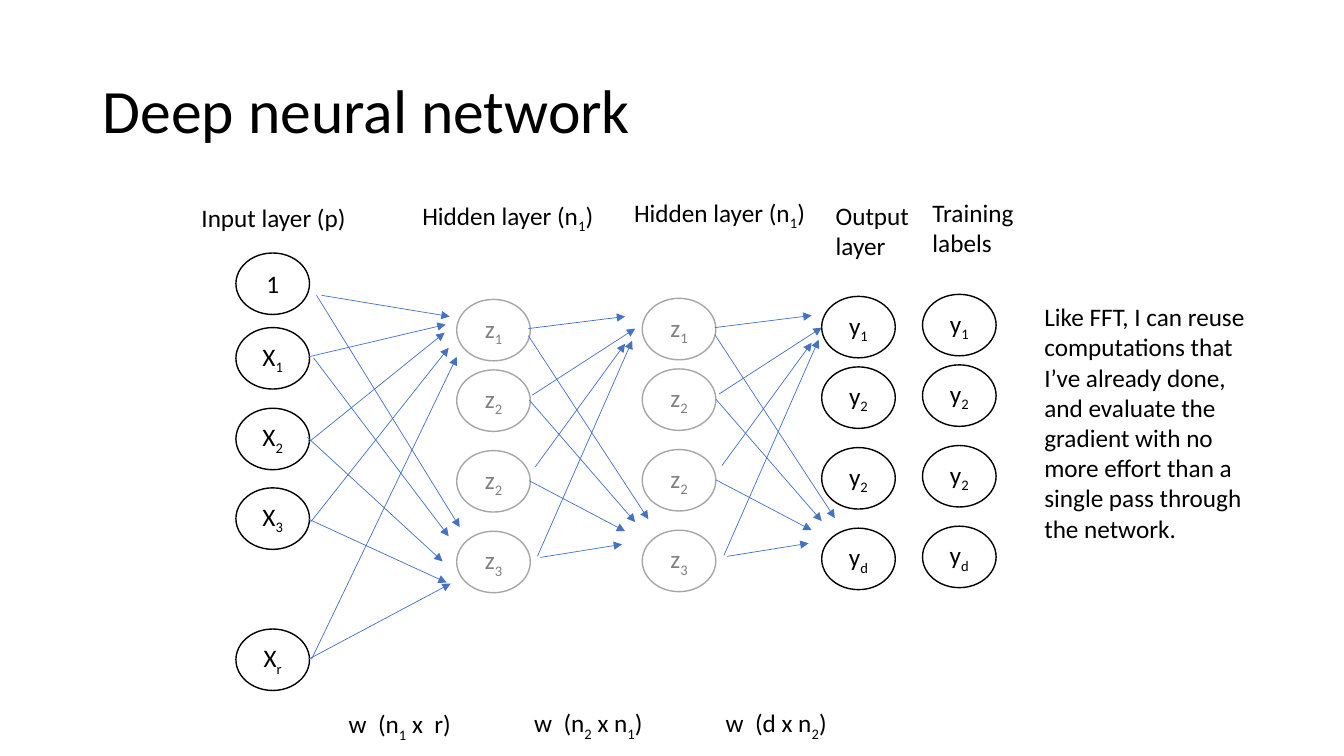
from lxml import etree
from pptx import Presentation
from pptx.dml.color import RGBColor
from pptx.enum.shapes import MSO_CONNECTOR, MSO_SHAPE
from pptx.enum.text import MSO_ANCHOR, MSO_AUTO_SIZE, PP_ALIGN
from pptx.oxml.ns import qn
from pptx.util import Inches, Pt

BLACK = RGBColor(0x00, 0x00, 0x00)
GREY_TEXT = RGBColor(0x80, 0x80, 0x80)
GREY_LINE = RGBColor(0xA6, 0xA6, 0xA6)
BLUE = RGBColor(0x44, 0x72, 0xC4)
FONT = "Calibri"
OVAL = MSO_SHAPE.OVAL
STRAIGHT = MSO_CONNECTOR.STRAIGHT
MIDDLE, TOP = MSO_ANCHOR.MIDDLE, MSO_ANCHOR.TOP
LEFT, CENTER = PP_ALIGN.LEFT, PP_ALIGN.CENTER
GROW, FIXED = MSO_AUTO_SIZE.SHAPE_TO_FIT_TEXT, MSO_AUTO_SIZE.NONE

NODE_WIDTH, NODE_HEIGHT = 0.73, 0.61
INPUT_ROWS = (0, 0.74, 1.54, 2.33, 3.73)
LAYER_ROWS = (0, 0.7, 1.5, 2.3)

# left, top, row offsets, node names, text colour, outline colour
LAYERS = [
    (2.34, 2.51, INPUT_ROWS, ("1", "X_1", "X_2", "X_3", "X_r"), BLACK, BLACK),
    (4.53, 2.97, LAYER_ROWS, ("z_1", "z_2", "z_2", "z_3"), GREY_TEXT, GREY_LINE),
    (6.37, 2.96, LAYER_ROWS, ("z_1", "z_2", "z_2", "z_3"), GREY_TEXT, GREY_LINE),
    (8.15, 2.94, LAYER_ROWS, ("y_1", "y_2", "y_2", "y_d"), BLACK, BLACK),
    (9.15, 2.92, LAYER_ROWS, ("y_1", "y_2", "y_2", "y_d"), BLACK, BLACK),
]

# left, top, width, height, text
LABELS = [
    (1.9, 1.96, 2.3, 0.4, "Input layer (p)"),
    (4.09, 1.94, 2.3, 0.4, "Hidden layer (n_1)"),
    (6.19, 1.91, 2.3, 0.4, "Hidden layer (n_1)"),
    (8.19, 1.94, 0.94, 0.71, "Output\nlayer"),
    (9.15, 1.91, 1.11, 0.71, "Training labels"),
    (3.36, 6.98, 1.43, 0.4, "w  (n_1 x  r)"),
    (5.2, 6.97, 1.47, 0.4, "w  (n_2 x n_1)"),
    (7.1, 6.97, 1.47, 0.4, "w  (d x n_2)"),
    (10.26, 2.94, 2.3, 2.52,
     "Like FFT, I can reuse computations that I’ve already done, and evaluate "
     "the gradient with no more effort than a single pass through the network."),
]

# start x, start y, end x, end y
INPUT_WEIGHTS = [
    (3.19, 2.93, 4.46, 3.14), (3.06, 3.54, 4.42, 3.22),
    (3.07, 4.38, 4.41, 3.3), (3.08, 5.18, 4.45, 3.45),
    (3.09, 6.54, 4.53, 3.54), (3.06, 6.54, 4.47, 5.79),
    (3.06, 5.15, 4.43, 5.78), (3.05, 4.34, 4.39, 5.57),
    (3.11, 3.55, 4.45, 5.32), (3.14, 2.93, 4.56, 5.23),
]
HIDDEN_WEIGHTS = [
    (5.24, 3.33, 6.43, 5.15), (5.25, 4.77, 6.2, 5.27),
    (5.25, 3.97, 6.3, 5.18), (5.36, 5.53, 6.17, 5.4),
    (5.33, 5.52, 6.27, 3.38), (5.31, 4.63, 6.2, 3.41),
    (5.28, 3.92, 6.3, 3.26), (5.24, 3.26, 6.2, 3.14),
]
# The output weights repeat the hidden ones, shifted by one layer
SHIFT_X, SHIFT_Y = 1.85, -0.01


def write_text(frame, text, size=18, color=BLACK, align=LEFT, anchor=TOP,
               spacing=None, autosize=FIXED):
    """Fill a frame; "_" lowers the next character, a line break starts a paragraph."""
    frame.word_wrap = True
    frame.auto_size = autosize
    frame.vertical_anchor = anchor
    for index, line in enumerate(text.split("\n")):
        paragraph = frame.add_paragraph() if index else frame.paragraphs[0]
        paragraph.alignment = align
        if spacing:
            paragraph.line_spacing = spacing
        start, *rest = line.split("_")
        pieces = [(start, False)]
        for part in rest:
            pieces += [(part[0], True), (part[1:], False)]
        for piece, lowered in pieces:
            if not piece:
                continue
            run = paragraph.add_run()
            run.text = piece
            run.font.name = FONT
            run.font.size = Pt(size)
            run.font.color.rgb = color
            if lowered:
                run.font._element.set("baseline", "-25000")


class NetworkSlide:
    def __init__(self, slide):
        self.shapes = slide.shapes

    def label(self, left, top, width, height, text, **text_format):
        box = self.shapes.add_textbox(
            Inches(left), Inches(top), Inches(width), Inches(height))
        write_text(box.text_frame, text, **text_format)

    def node(self, left, top, name, text_color, outline):
        neuron = self.shapes.add_shape(
            OVAL, Inches(left), Inches(top), Inches(NODE_WIDTH), Inches(NODE_HEIGHT))
        neuron.shadow.inherit = False
        neuron.fill.background()
        neuron.line.color.rgb = outline
        neuron.line.width = Pt(1)
        write_text(neuron.text_frame, name, color=text_color, align=CENTER, anchor=MIDDLE)

    def layer(self, left, top, rows, names, text_color, outline):
        for row, name in zip(rows, names):
            self.node(left, top + row, name, text_color, outline)

    def arrow(self, start_x, start_y, end_x, end_y):
        weight = self.shapes.add_connector(
            STRAIGHT, Inches(start_x), Inches(start_y), Inches(end_x), Inches(end_y))
        weight.line.color.rgb = BLUE
        weight.line.width = Pt(0.5)
        etree.SubElement(weight.line._get_or_add_ln(), qn("a:tailEnd"), type="triangle")
        etree.SubElement(weight._element.spPr, qn("a:effectLst"))


def main():
    deck = Presentation()
    deck.slide_width, deck.slide_height = Inches(13.33), Inches(7.5)
    network = NetworkSlide(deck.slides.add_slide(deck.slide_layouts[6]))

    network.label(0.92, 0.4, 11.5, 1.45, "Deep neural network",
                  size=44, anchor=MIDDLE, spacing=0.9)
    for layer in LAYERS:
        network.layer(*layer)
    output_weights = [
        (x1 + SHIFT_X, y1 + SHIFT_Y, x2 + SHIFT_X, y2 + SHIFT_Y)
        for x1, y1, x2, y2 in HIDDEN_WEIGHTS
    ]
    for weight in INPUT_WEIGHTS + HIDDEN_WEIGHTS + output_weights:
        network.arrow(*weight)
    for label in LABELS:
        network.label(*label, autosize=GROW)

    deck.save("out.pptx")


if __name__ == "__main__":
    main()
